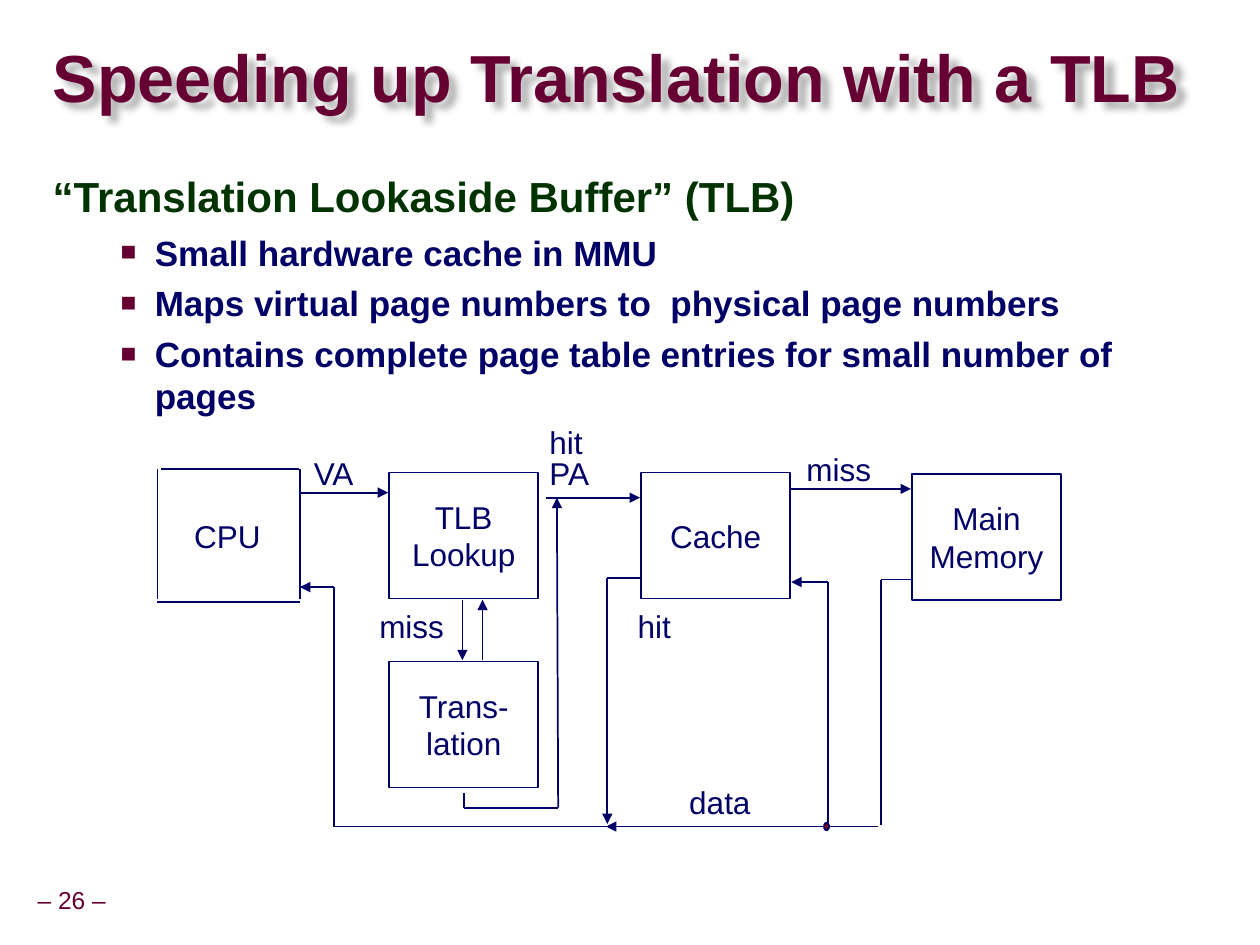
from itertools import pairwise

from lxml import etree
from pptx import Presentation
from pptx.dml.color import RGBColor
from pptx.enum.shapes import MSO_CONNECTOR, MSO_SHAPE
from pptx.enum.text import MSO_ANCHOR, MSO_AUTO_SIZE, PP_ALIGN
from pptx.oxml.ns import qn
from pptx.util import Inches, Pt

STRAIGHT = MSO_CONNECTOR.STRAIGHT
RECTANGLE, OVAL = MSO_SHAPE.RECTANGLE, MSO_SHAPE.OVAL
TOP, MIDDLE = MSO_ANCHOR.TOP, MSO_ANCHOR.MIDDLE
LEFT, CENTER = PP_ALIGN.LEFT, PP_ALIGN.CENTER
FIT_SHAPE = MSO_AUTO_SIZE.SHAPE_TO_FIT_TEXT

FONT = "Arial"
COLORS = {"maroon": "660033", "green": "003300", "navy": "000066", "dot": "800000"}

# The slide is a grid of 100 columns by 75 rows with square cells
COLUMNS, ROWS = 100, 75
CELL = Inches(0.1)
BLOCK_WIDTH, BLOCK_HEIGHT = 11.8, 10
LABEL_HEIGHT = 3.1
# Label widths leave a little room beyond the text so that no word breaks
LABEL_WIDTHS = {"CPU": 6.8, "VA": 4.9, "PA": 4.9, "hit": 4.3, "miss": 6.8, "data": 6.5}


def cells(*counts):
    return [round(count * CELL) for count in counts]


def color(name):
    return RGBColor.from_string(COLORS[name])


def add_run(paragraph, text, size, tint, bold=False):
    run = paragraph.add_run()
    run.text = text
    run.font.name, run.font.size, run.font.bold = FONT, Pt(size), bold
    run.font.color.rgb = color(tint)


def set_frame(frame, margins, anchor=TOP, wrap=False):
    frame.word_wrap = wrap
    frame.vertical_anchor = anchor
    side, end = cells(*margins)
    frame.margin_left = frame.margin_right = side
    frame.margin_top = frame.margin_bottom = end


def add_line_of_text(slide, place, text, size, tint, margins, spacing,
                     align=LEFT, anchor=TOP, wrap=False, bold=False):
    box = slide.shapes.add_textbox(*cells(*place))
    set_frame(box.text_frame, margins, anchor, wrap)
    if not wrap:
        box.text_frame.auto_size = FIT_SHAPE
    paragraph = box.text_frame.paragraphs[0]
    paragraph.alignment, paragraph.line_spacing = align, spacing
    add_run(paragraph, text, size, tint, bold)
    return box


def add_label(slide, text, left, top):
    add_line_of_text(slide, (left, top, LABEL_WIDTHS[text], LABEL_HEIGHT), text, 18,
                     "navy", (0.7, 0.3), 0.85)


def add_block(slide, lines, left, top):
    block = slide.shapes.add_shape(
        RECTANGLE, *cells(left, top, BLOCK_WIDTH, BLOCK_HEIGHT))
    block.shadow.inherit = False
    block.fill.background()
    block.line.color.rgb, block.line.width = color("navy"), Pt(1)
    frame = block.text_frame
    set_frame(frame, (1, 0.5), MIDDLE)
    for number, line in enumerate(lines):
        paragraph = frame.add_paragraph() if number else frame.paragraphs[0]
        paragraph.alignment = CENTER
        add_run(paragraph, line, 18, "navy")


def add_wire(slide, points, arrow=False):
    """Join the points with straight lines; the last may end in an arrowhead."""
    for start, end in pairwise(points):
        wire = slide.shapes.add_connector(STRAIGHT, *cells(*start, *end))
        wire.line.color.rgb, wire.line.width = color("navy"), Pt(1)
        properties = wire._element.spPr
        if arrow and end == points[-1]:
            etree.SubElement(properties.find(qn("a:ln")), qn("a:tailEnd"), type="triangle")
        etree.SubElement(properties, qn("a:effectLst"))


def add_title(slide):
    title = add_line_of_text(slide, (4.2, 3.3, 91.7, 6.3),
                             "Speeding up Translation with a TLB", 38, "maroon",
                             (0, 0), 0.87, anchor=MIDDLE, wrap=True, bold=True)
    effects = etree.SubElement(title._element.spPr, qn("a:effectLst"))
    shadow = etree.SubElement(effects, qn("a:outerShdw"), blurRad=str(Pt(4)),
                              dist=str(Pt(5)), dir="2700000", algn="tl", rotWithShape="0")
    black = etree.SubElement(shadow, qn("a:srgbClr"), val="000000")
    etree.SubElement(black, qn("a:alpha"), val="30000")


def set_bullet(paragraph):
    properties = paragraph._p.get_or_add_pPr()
    left, hanging = cells(8.1, 2.7)
    properties.set("marL", str(left))
    properties.set("indent", str(-hanging))
    tint = etree.SubElement(properties, qn("a:buClr"))
    etree.SubElement(tint, qn("a:srgbClr"), val=COLORS["maroon"])
    etree.SubElement(properties, qn("a:buSzPct"), val="75000")
    etree.SubElement(properties, qn("a:buFont"), typeface=FONT)
    etree.SubElement(properties, qn("a:buChar"), char="■")


def add_body(slide, heading, points):
    body = slide.shapes.add_textbox(*cells(3.2, 13.35, 90.9, 57.1))
    frame = body.text_frame
    set_frame(frame, (1, 0.5), wrap=True)
    frame.paragraphs[0].line_spacing = 0.95
    add_run(frame.paragraphs[0], heading, 24, "green", bold=True)
    for point in points:
        paragraph = frame.add_paragraph()
        paragraph.level = 1
        paragraph.space_before = Pt(5)
        set_bullet(paragraph)
        add_run(paragraph, point, 20, "navy", bold=True)


def add_diagram(slide):
    # CPU outline, open at its corners
    cpu_left, cpu_right, cpu_top, cpu_foot = 12.5, 23.8, 37.2, 47.5
    add_wire(slide, [(12.8, cpu_top), (23.7, cpu_top)])
    add_wire(slide, [(cpu_right, 47.8), (cpu_left, 47.8)])
    for side in (cpu_left, cpu_right):
        add_wire(slide, [(side, cpu_top), (side, cpu_foot)])

    # Blocks
    for lines, left, top in [
        (["TLB", "Lookup"], 30.9, 37.5),
        (["Cache"], 50.9, 37.5),
        (["Main", "Memory"], 72.4, 37.6),
        (["Trans-", "lation"], 30.9, 52.5),
    ]:
        add_block(slide, lines, left, top)

    # Address path from CPU to memory, and the detour through translation
    bus = 65.6
    for points in [
        [(cpu_right, 39.1), (30.8, 39.1)],
        [(43.3, 39.5), (50.8, 39.5)],
        [(62.7, 38.8), (72.3, 38.8)],
        [(36.7, 47.6), (36.7, 52.4)],
        [(38.3, 52.4), (38.3, 47.6)],
        [(36.8, 62.9), (36.8, 64.1), (44.3, 64.1), (44.2, 39.5)],
        # Data path back to cache and CPU
        [(50.8, 45.9), (48.2, 45.9), (48.2, 65.4)],
        [(65.7, 65.8), (65.7, 46.2), (62.8, 46.2)],
        [(69.7, bus), (48.1, bus)],
        [(48.2, bus), (26.5, bus), (26.5, 46.6), (cpu_right, 46.6)],
    ]:
        add_wire(slide, points, arrow=True)
    add_wire(slide, [(72.4, 46), (69.9, 46), (69.9, 65.5)])

    # Junction on the data bus
    junction = slide.shapes.add_shape(OVAL, *cells(65.4, 65.3, 0.4, 0.6))
    junction.shadow.inherit = False
    junction.fill.solid()
    junction.fill.fore_color.rgb = color("dot")
    junction.line.color.rgb, junction.line.width = color("navy"), Pt(1)

    # Labels
    for text, left, top in [
        ("CPU", 14.7, 41.2),
        ("VA", 24.2, 36.2),
        ("hit", 42.9, 33.7),
        ("PA", 42.9, 36.2),
        ("miss", 63.3, 35.9),
        ("miss", 29.4, 48.3),
        ("hit", 49.9, 48.3),
        ("data", 54, 62.3),
    ]:
        add_label(slide, text, left, top)


def main():
    deck = Presentation()
    deck.slide_width, deck.slide_height = cells(COLUMNS, ROWS)
    slide = deck.slides.add_slide(deck.slide_layouts[6])

    # Page number
    add_line_of_text(slide, (2.4, 70, 6.6, 3.1), "– 26 –", 14, "maroon",
                     (0.5, 0.5), 0.9, align=CENTER, anchor=MIDDLE)
    add_diagram(slide)
    add_title(slide)
    add_body(slide, "“Translation Lookaside Buffer” (TLB)", [
        "Small hardware cache in MMU",
        "Maps virtual page numbers to  physical page numbers",
        "Contains complete page table entries for small number of pages",
    ])
    deck.save("out.pptx")


if __name__ == "__main__":
    main()
